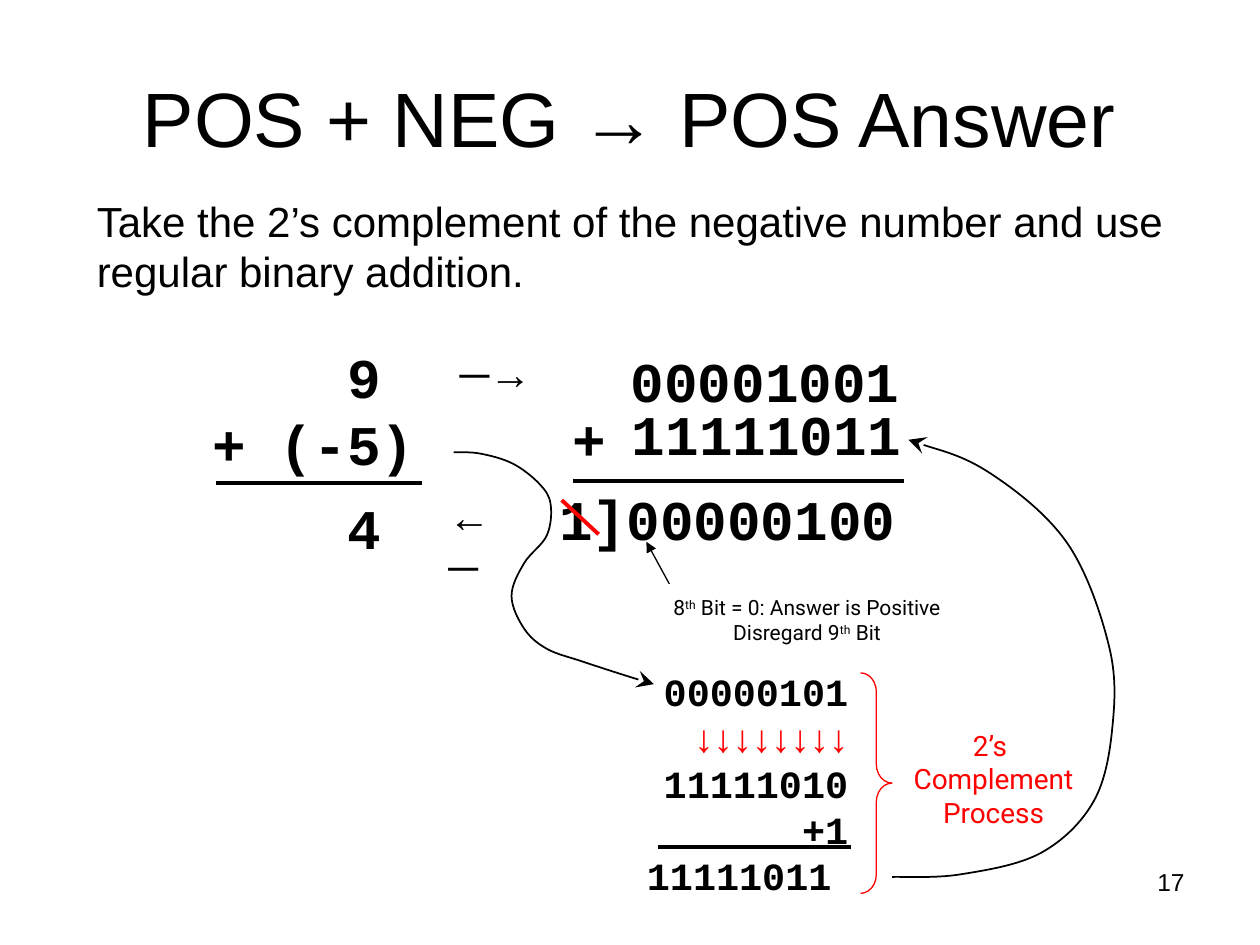
import dataclasses

import lxml.etree
import pptx
import pptx.dml.color
import pptx.enum.shapes
import pptx.enum.text
import pptx.oxml.ns
import pptx.util

Inches = pptx.util.Inches
Pt = pptx.util.Pt
qn = pptx.oxml.ns.qn
ALIGN = pptx.enum.text.PP_ALIGN
ANCHOR = pptx.enum.text.MSO_ANCHOR


@dataclasses.dataclass(frozen=True)
class Theme:
    ink: str = "000000"
    accent: str = "FF0000"
    sans: str = "Arial"
    mono: str = "Courier New"
    label: str = "Roboto"
    title: int = 44
    sum: int = 32
    body: int = 24
    step: int = 22
    note: int = 16
    number: int = 14
    small: int = 12
    rule: float = 2.25
    thin: float = 0.75
    curve: float = 1


T = Theme()


def rgb(color):
    return pptx.dml.color.RGBColor.from_string(color)


def add_run(p, text, font, size, color, bold=False, baseline=0):
    r = p.add_run()
    r.text = text
    r.font.name = font
    r.font.size = Pt(size)
    r.font.bold = bold
    r.font.color.rgb = rgb(color)
    if baseline:
        r._r.get_or_add_rPr().set("baseline", str(baseline * 1000))


def add_text(s, box, paragraphs, align=ALIGN.LEFT, anchor=ANCHOR.TOP, wrap=True,
             left=0.1, right=0.1, font=T.sans, size=T.body, color=T.ink, bold=False):
    tf = s.shapes.add_textbox(*map(Inches, box)).text_frame
    tf.word_wrap = wrap
    tf.vertical_anchor = anchor
    tf.margin_left, tf.margin_right = Inches(left), Inches(right)
    base = dict(font=font, size=size, color=color, bold=bold)
    for i, runs in enumerate(paragraphs):
        p = tf.add_paragraph() if i else tf.paragraphs[0]
        p.alignment = align
        for text, change in [(runs, {})] if isinstance(runs, str) else runs:
            add_run(p, text, **{**base, **change})
    return tf


def add_digits(s, box, paragraphs, align=ALIGN.RIGHT, size=T.sum, **fmt):
    return add_text(s, box, paragraphs, align=align, font=T.mono, size=size, bold=True, **fmt)


def style_line(sp, color, width, arrow=None, arrow_size="med", cap="flat"):
    sp.line.color.rgb = rgb(color)
    sp.line.width = Pt(width)
    ln = sp.line._get_or_add_ln()
    ln.set("cap", cap)
    if arrow:
        lxml.etree.SubElement(ln, qn("a:tailEnd"), type=arrow, w=arrow_size, len=arrow_size)


def add_line(s, x1, y1, x2, y2, color=T.ink, width=T.rule, arrow=None):
    sp = s.shapes.add_connector(pptx.enum.shapes.MSO_CONNECTOR.STRAIGHT,
                                *map(Inches, (x1, y1, x2, y2)))
    style_line(sp, color, width, arrow, cap="sq")
    lxml.etree.SubElement(sp._element.spPr, qn("a:effectLst"))


def bezier_points(points):
    ends = [points[0], *points, points[-1]]
    for a, b, c, d in zip(ends, ends[1:], ends[2:], ends[3:]):
        yield tuple(Inches(q + (r - p) / 6) for p, q, r in zip(a, b, c))
        yield tuple(Inches(q - (r - p) / 6) for p, q, r in zip(b, c, d))
        yield tuple(map(Inches, c))


def add_curve(s, points):
    fb = s.shapes.build_freeform(*map(Inches, points[0]))
    fb.add_line_segments(list(bezier_points(points)), close=False)
    sp = fb.convert_to_shape()
    lines = list(sp._element.iter(qn("a:lnTo")))
    for trio in zip(lines[::3], lines[1::3], lines[2::3]):
        bezier = lxml.etree.Element(qn("a:cubicBezTo"))
        trio[0].addprevious(bezier)
        for line in trio:
            bezier.append(line[0])
            line.getparent().remove(line)
    sp.shadow.inherit = False
    sp.fill.background()
    style_line(sp, T.ink, T.curve, "stealth", "lg")


def add_brace(s, box):
    sp = s.shapes.add_shape(pptx.enum.shapes.MSO_SHAPE.RIGHT_BRACE, *map(Inches, box))
    sp.adjustments[0] = 0.6
    sp.shadow.inherit = False
    sp.fill.background()
    style_line(sp, T.accent, T.thin)


def add_decimal_sum(s):
    tf = add_digits(s, (1.59, 2.67, 2.07, 1.84), ["9 ", "+ (-5)", "4 "],
                    wrap=False, left=0, right=0.37)
    tf.paragraphs[2].line_spacing = 1.25
    add_line(s, 1.73, 3.83, 3.33, 3.83)
    add_text(s, (3.55, 2.71, 0.86, 0.5), ["─→"])
    add_text(s, (3.46, 3.84, 0.73, 0.5), ["←─"])


def add_binary_sum(s):
    add_digits(s, (4.74, 2.7, 2.5, 0.64), ["00001001"])
    add_digits(s, (4.58, 3.12, 2.67, 0.64), ["11111011"])
    add_digits(s, (4.33, 3.16, 0.58, 0.64), ["+"])
    add_line(s, 4.56, 3.82, 7.16, 3.82)
    add_digits(s, (4.34, 3.8, 2.87, 0.64), ["1]00000100"], align=ALIGN.LEFT, wrap=False)
    add_line(s, 4.47, 3.98, 4.74, 4.23, color=T.accent)
    add_line(s, 5.31, 4.63, 5.13, 4.3, width=T.thin, arrow="triangle")
    th = ("th", dict(baseline=30))
    add_text(s, (5.2, 4.67, 2.41, 0.5),
             [[("8", {}), th, (" Bit = 0: Answer is Positive", {})],
              [("Disregard 9", {}), th, (" Bit", {})]],
             align=ALIGN.CENTER, wrap=False, font=T.label, size=T.small)


def add_complement(s):
    add_digits(s, (4.92, 5.25, 1.91, 1.94),
               ["00000101",
                [("↓" * 8, dict(font=T.sans, color=T.accent))],
                "11111010",
                "+1",
                [("11111011", {}), (" ", dict(size=T.note))]],
               size=T.step)
    add_line(s, 5.24, 6.72, 6.74, 6.72)
    add_brace(s, (6.83, 5.34, 0.25, 1.75))
    add_text(s, (7.11, 5.73, 1.55, 0.9), ["2’s ", "Complement", "Process"],
             align=ALIGN.CENTER, wrap=False, font=T.label, size=T.note, color=T.accent)


def main():
    prs = pptx.Presentation()
    prs.slide_width, prs.slide_height = Inches(10), Inches(7.5)
    s = prs.slides.add_slide(prs.slide_layouts[6])
    add_text(s, (0.5, 0.3, 9, 1.25), ["POS + NEG → POS Answer"],
             align=ALIGN.CENTER, anchor=ANCHOR.MIDDLE, size=T.title)
    add_text(s, (7.17, 6.83, 2.33, 0.52), ["17"], align=ALIGN.RIGHT, size=T.number)
    add_text(s, (0.67, 1.5, 8.67, 0.9),
             ["Take the 2’s complement of the negative number and use regular binary addition."])
    add_decimal_sum(s)
    add_binary_sum(s)
    add_complement(s)
    add_curve(s, [(3.6, 3.59), (3.81, 3.6), (4.07, 3.68), (4.28, 3.84), (4.37, 4),
                  (4.34, 4.25), (4.16, 4.47), (4.06, 4.73), (4.16, 4.99),
                  (4.34, 5.15), (4.62, 5.25), (4.99, 5.37), (5.19, 5.43)])
    add_curve(s, [(7.08, 6.96), (7.62, 6.94), (8.26, 6.77), (8.68, 6.36), (8.83, 5.76),
                  (8.8, 5.12), (8.47, 4.31), (7.85, 3.75), (7.21, 3.49)])
    prs.save("out.pptx")


if __name__ == "__main__":
    main()
